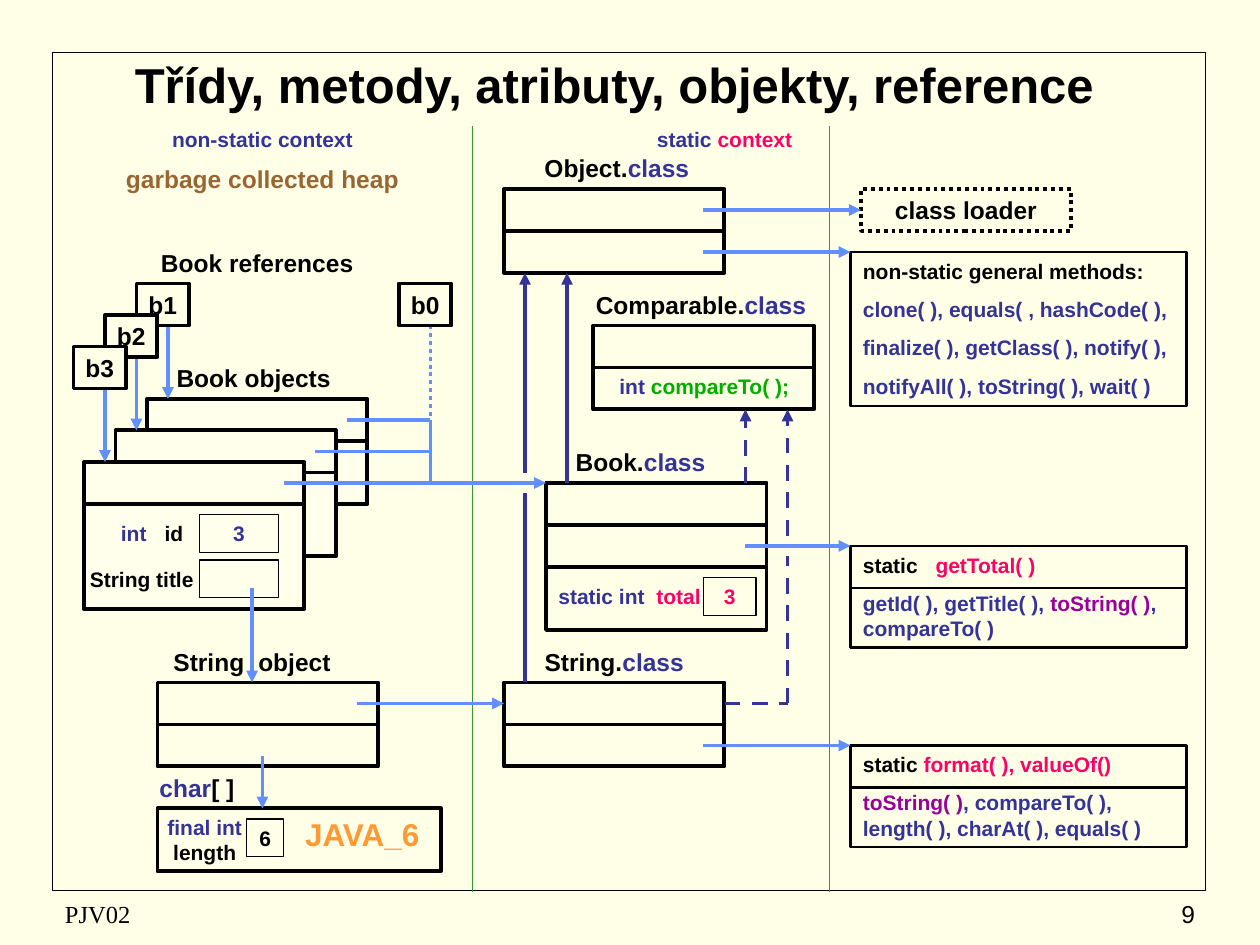
from lxml import etree
from pptx import Presentation
from pptx.dml.color import RGBColor
from pptx.enum.dml import MSO_LINE
from pptx.enum.shapes import MSO_CONNECTOR, MSO_SHAPE
from pptx.enum.text import MSO_ANCHOR, MSO_AUTO_SIZE, PP_ALIGN
from pptx.oxml.ns import qn
from pptx.util import Pt

DOT, DASH = MSO_LINE.ROUND_DOT, MSO_LINE.DASH
LEFT, MID, RIGHT = PP_ALIGN.LEFT, PP_ALIGN.CENTER, PP_ALIGN.RIGHT
TOP, CENTRE = MSO_ANCHOR.TOP, MSO_ANCHOR.MIDDLE
RECT, STRAIGHT = MSO_SHAPE.RECTANGLE, MSO_CONNECTOR.STRAIGHT

HEX = {"paper": "FFFFE7", "card": "FFFFEB", "black": "000000",
       "navy": "333399", "pink": "FF0066", "purple": "990099",
       "green": "00AE00", "brown": "996633", "orange": "FF9933",
       "blue": "618FFD", "rule": "339933"}

TITLE = "Třídy, metody, atributy, objekty, reference"
WIDE, ROW = 126, 24  # width of a class box, height of its rows

# Two-row boxes: left, top
PAIRS = [(288, 108), (312, 276), (90, 390), (288, 390), (339, 186)]
# Plain outlines: left, top, width, height, line width
FRAMES = [(30, 30, 659, 479, 1), (312, 276, WIDE, 84, 2.25),
          (90, 462, 162, 36, 2.25)]
# Book objects, back to front: left, top, height, start of row line
CARDS = [(84, 228, 60, 192), (66, 246, 72, 174), (48, 264, 84, 48)]

# Labels: left, top, width, size, runs, tab stop or None for centred
LABELS = [
    (297, 84, 111, 14, [("Object.", "black"), ("class", "navy")], None),
    (312, 252, 108, 14, [("Book.", "black"), ("class", "navy")], None),
    (294, 366, 114, 14, [("String.", "black"), ("class", "navy")], None),
    (333, 162, 135, 14, [("Comparable.", "black"), ("class", "navy")], None),
    (330, 210, 145, 12, [("int", "navy"), (" compareTo( );", "green")], None),
    (312, 330, 100, 12, [("static int\t", "navy"), ("total", "pink")], 56),
    (62, 294, 54, 12, [("int\t", "navy"), ("id", "black")], 25),
    (36, 320, 90, 12, [("String title", "black")], None),
    (78, 462, 78, 12, [("final int ", "navy"), ("length", "black")], None),
    (162, 462, 90, 18, [("JAVA_6", "orange")], None),
    (84, 204, 122, 14, [("Book objects", "black")], None),
    (92, 366, 120, 14, [("String\tobject", "black")], 48.5),
    (81, 438, 63, 14, [("char", "navy"), ("[ ]", "black")], None),
    (348, 68.5, 132, 12, [("static ", "navy"), ("context", "pink")], None),
    (84, 68.5, 132, 12, [("non-static context", "navy")], None),
    (54, 90, 192, 14, [("garbage collected heap", "brown")], None),
    (78, 138, 138, 14, [("Book references", "black")], None),
]

# Values: left, top, width, runs
VALUES = [(402, 330, 30, [("3", "pink")]), (114, 294, 45, [("3", "navy")]),
          (141, 468, 21, [("6", "black")]), (114, 320, 45, [])]

# Method lists: top, height, row line, tab stop, paragraphs
METHODS = [
    (144, 88, None, None,
     [[("non-static general methods:", "black")],
      [("clone( ), equals( , hashCode( ),", "navy")],
      [("finalize( ), getClass( ), notify( ),", "navy")],
      [("notifyAll( ), toString( ), wait( )", "navy")]]),
    (312, 58, 336, 41.5,
     [[("static\t", "black"), ("getTotal( )", "pink")],
      [("getId( ), getTitle( ), ", "navy"), ("toString( )", "purple"),
       (", compareTo( )", "navy")]]),
    (426, 58, 450, None,
     [[("static ", "black"), ("format( ), valueOf()", "pink")],
      [("toString( )", "purple"),
       (", compareTo( ), length( ), charAt( ), equals( )", "navy")]]),
]

# Lines: x1, y1, x2, y2, colour, arrow, dash
LINES = [
    (402, 144, 486, 144, "blue", True, None),
    (426, 312, 486, 312, "blue", True, None),
    (402, 426, 486, 426, "blue", True, None),
    (162, 276, 312, 276, "blue", True, None),
    (180, 258, 246, 258, "blue", False, None),
    (198, 240, 246, 240, "blue", False, None),
    (246, 276, 246, 240, "blue", False, None),
    (246, 186, 246, 240, "blue", False, DOT),
    (144, 336, 144, 390, "blue", True, None),
    (150, 432, 150, 462, "blue", True, None),
    (204, 402, 288, 402, "blue", True, None),
    (324, 276, 324, 156, "navy", True, None),
    (300, 270, 300, 156, "navy", True, None),
    (300, 390, 300, 282, "navy", False, None),
    (426, 276, 426, 234, "navy", True, DASH),
    (450, 306, 450, 234, "navy", True, DASH),
    (450, 402, 450, 318, "navy", False, DASH),
    (414, 402, 450, 402, "navy", False, DASH),
]

# References: name, left, top
REFS = [("b1", 78, 162), ("b2", 60, 180), ("b3", 42, 198), ("b0", 228, 162)]


def tint(name):
    return RGBColor.from_string(HEX[name])


def write(shape, paras, size, align=MID, anchor=TOP, wrap=True, tab=None,
          font="Arial", bold=True):
    frame = shape.text_frame
    frame.auto_size = MSO_AUTO_SIZE.NONE
    frame.word_wrap = wrap
    frame.vertical_anchor = anchor
    for i, runs in enumerate(paras):
        para = frame.add_paragraph() if i else frame.paragraphs[0]
        para.alignment = align
        para.space_before = Pt(7.5 if i else 0)
        if tab and not i:
            stops = etree.SubElement(para._p.get_or_add_pPr(), qn("a:tabLst"))
            etree.SubElement(stops, qn("a:tab"), pos=str(Pt(tab)), algn="l")
        for text, colour in runs:
            run = para.add_run()
            run.text = text
            run.font.name, run.font.size = font, Pt(size)
            run.font.bold = bold
            run.font.color.rgb = tint(colour)


def area(x, y, w, h):
    return Pt(x), Pt(y), Pt(w), Pt(h)


def box(x, y, w, h, weight=2.25, fill=None):
    shape = shapes.add_shape(RECT, *area(x, y, w, h))
    shape.shadow.inherit = False
    if fill:
        shape.fill.solid()
        shape.fill.fore_color.rgb = tint(fill)
    else:
        shape.fill.background()
    shape.line.color.rgb = tint("black")
    shape.line.width = Pt(weight)
    return shape


def link(x1, y1, x2, y2, colour="black", arrow=False, dash=None, weight=2.25):
    wire = shapes.add_connector(STRAIGHT, Pt(x1), Pt(y1), Pt(x2), Pt(y2))
    wire.line.color.rgb = tint(colour)
    wire.line.width = Pt(weight)
    if dash:
        wire.line.dash_style = dash
    props = wire.element.spPr
    if arrow:
        etree.SubElement(props.find(qn("a:ln")), qn("a:tailEnd"), type="triangle")
    etree.SubElement(props, qn("a:effectLst"))
    return wire


def note(x, y, w, h, *args, **kind):
    write(shapes.add_textbox(*area(x, y, w, h)), *args, **kind)


deck = Presentation()
deck.slide_width, deck.slide_height = Pt(720), Pt(540)
slide = deck.slides.add_slide(deck.slide_layouts[5])
shapes = slide.shapes
slide.background.fill.solid()
slide.background.fill.fore_color.rgb = tint("paper")

title = shapes.title
title.left, title.top, title.width, title.height = area(30, 24, 642, 48)
write(title, [[(TITLE, "black")]], 28, anchor=CENTRE)

for x, y, w, h, weight in FRAMES:
    box(x, y, w, h, weight)
for x in (270, 474):
    link(x, 72, x, 510, "rule", weight=0.75)

for x, y in PAIRS:
    pair = box(x, y, WIDE, 2 * ROW)
    row = link(x, y + ROW, x + WIDE, y + ROW)
    row.begin_connect(pair, 1)
    row.end_connect(pair, 3)

for x, y, h, start in CARDS:
    box(x, y, WIDE, h, fill="card")
    link(start, y + ROW, x + WIDE, y + ROW)

for y, h, split, tab, paras in METHODS:
    write(box(486, y, 192, h, 1.5), paras, 12, LEFT, tab=tab)
    if split:
        link(486, split, 678, split, weight=1.5)

for x, y, w, runs in VALUES:
    write(box(x, y, w, 21.6, 0.75), [runs], 12)

for x, y, w, size, runs, tab in LABELS:
    note(x, y, w, size * 1.2 + 7.5, [runs], size, LEFT if tab else MID, tab=tab)

for line in LINES:
    link(*line)

loader = box(492, 108, 120, 24, fill="paper")
loader.line.dash_style = DOT
write(loader, [[("class loader", "black")]], 14, anchor=CENTRE, wrap=False)
link(402, 120, 492, 120, "blue", True).end_connect(loader, 1)

for (x, y, _, _), (_, _, top) in zip(CARDS, REFS):
    link(x + 12, top + 6, x + 12, y, "blue", True)
for name, x, y in REFS:
    write(box(x, y, 30, 24, fill="paper"), [[(name, "black")]], 14,
          anchor=CENTRE, wrap=False)

note(30, 510, 228, 24, [[("PJV02", "black")]], 14, LEFT, CENTRE,
     font="Times New Roman", bold=False)
note(540, 510, 150, 24, [[("9", "black")]], 14, RIGHT, CENTRE, bold=False)

deck.save("out.pptx")
